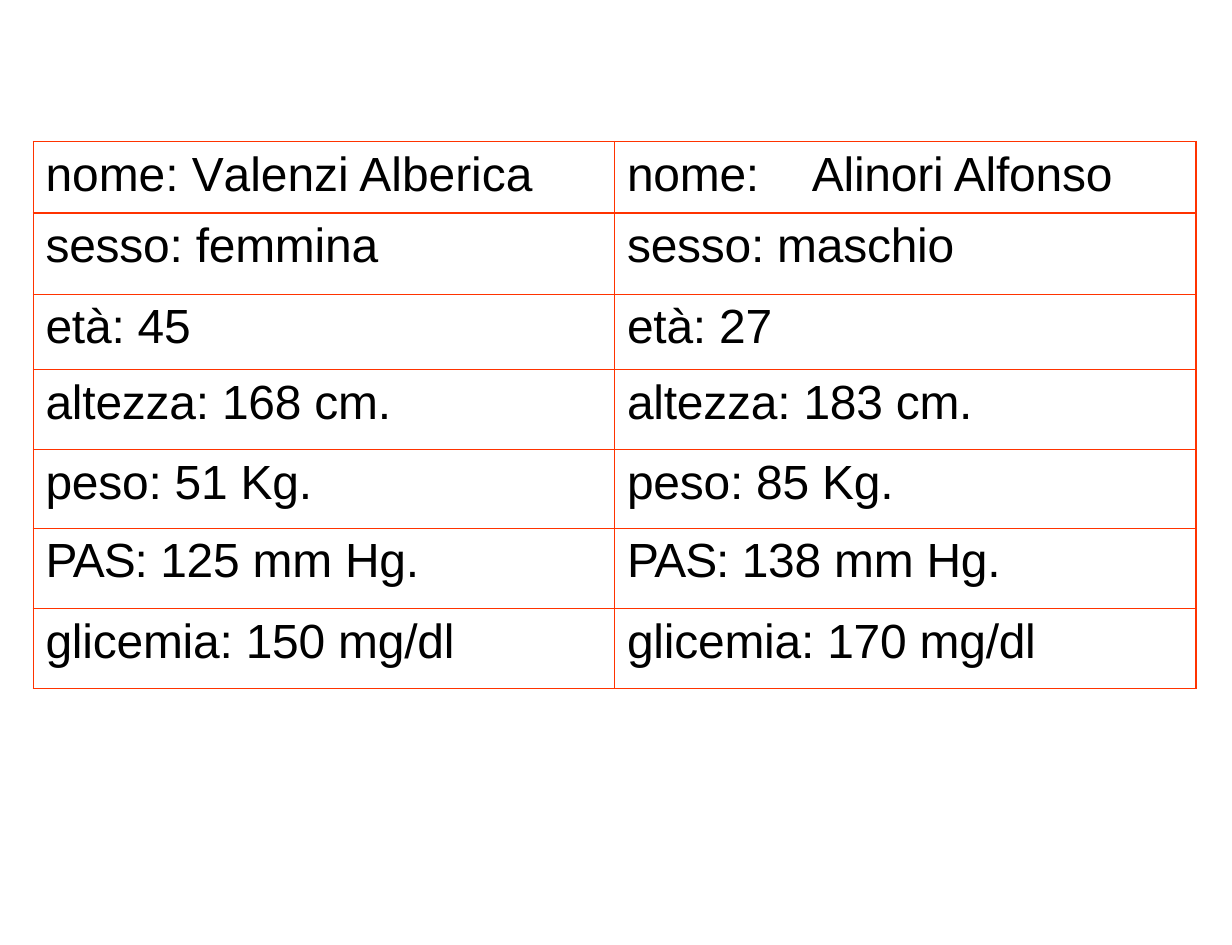
import pptx
import pptx.util
import pptx.dml.color
from pptx.util import Inches, Pt
from lxml import etree

NS = "http://schemas.openxmlformats.org/drawingml/2006/main"
RED = "FF3300"
BLACK = "000000"


def color(hex_value):
    return pptx.dml.color.RGBColor.from_string(hex_value)


def add(parent, tag, **attrs):
    values = {key: str(value) for key, value in attrs.items()}
    return etree.SubElement(parent, f"{{{NS}}}{tag}", values)


prs = pptx.Presentation()
prs.slide_width, prs.slide_height = Inches(10), Inches(7.67)
s = prs.slides.add_slide(prs.slide_layouts[6])

# Patient records: each cell is a list of (text, letter spacing in 1/100 pt)
records = [
    [[("nome: ", 0), ("V", -210), ("alenzi Alberica", 0)],
     [("nome:\tAlinori Alfonso", -10)]],
    [[("sesso: femmina", -10)], [("sesso: maschio", -10)]],
    [[("età: 45", -10)], [("età: 27", -10)]],
    [[("altezza: 168 cm.", -10)], [("altezza: 183 cm.", -10)]],
    [[("peso: 51 Kg.", -10)], [("peso: 85 Kg.", -10)]],
    [[("PAS: ", -60), ("125 mm Hg.", -10)],
     [("PAS: ", -60), ("138 mm Hg.", -10)]],
    [[("glicemia: 150 mg/dl", -10)], [("glicemia: 170 mg/dl", -10)]],
]
row_heights = [0.58, 0.66, 0.61, 0.65, 0.64, 0.65, 0.65]

# Table grid
table = s.shapes.add_table(len(records), 2, Inches(0.27), Inches(1.15),
                           Inches(9.44), Inches(sum(row_heights))).table
table.first_row = table.horz_banding = False
for column in table.columns:
    column.width = Inches(4.72)
for row, height in zip(table.rows, row_heights):
    row.height = Inches(height)

for i, record in enumerate(records):
    for j, runs in enumerate(record):
        cell = table.cell(i, j)
        cell.margin_left = cell.margin_right = cell.margin_bottom = 0
        cell.margin_top = Inches(0.05)

        # Borders come before the fill in the cell properties
        tcPr = cell._tc.get_or_add_tcPr()
        for side in ("lnL", "lnR", "lnT", "lnB"):
            line = add(tcPr, side, w=Pt(1))
            add(add(line, "solidFill"), "srgbClr", val=RED)
        cell.fill.background()

        # Text
        p = cell.text_frame.paragraphs[0]
        p.space_before = Pt(3.5)
        pPr = p._p.get_or_add_pPr()
        pPr.set("marL", str(Inches(0.1)))
        pPr.set("indent", "0")
        if any("\t" in text for text, spacing in runs):
            add(add(pPr, "tabLst"), "tab", pos=Inches(1.37), algn="l")
        for text, spacing in runs:
            r = p.add_run()
            r.text = text
            r.font.name = "Arial"
            r.font.size = Pt(28)
            r.font.color.rgb = color(BLACK)
            r._r.get_or_add_rPr().set("spc", str(spacing))

prs.save("out.pptx")
